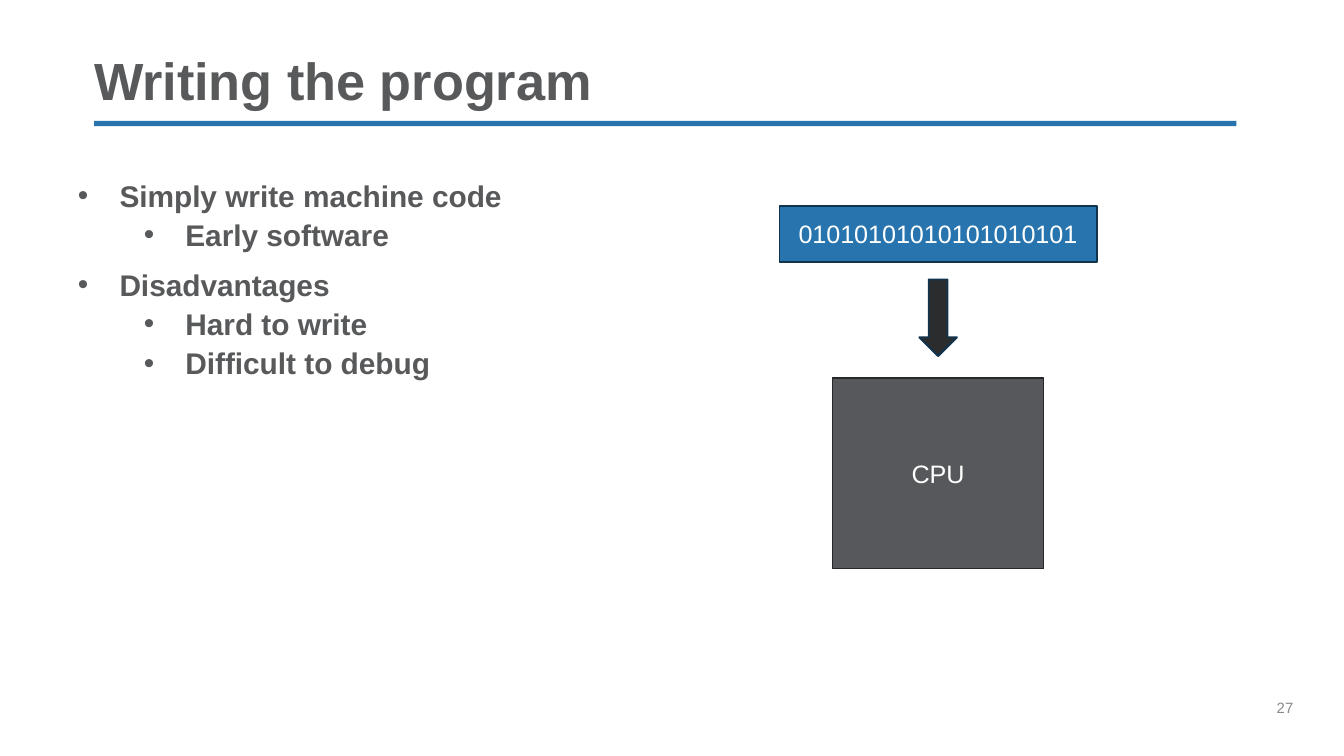
from lxml.etree import SubElement
from pptx import Presentation
from pptx.dml.color import RGBColor
from pptx.enum.shapes import MSO_SHAPE
from pptx.enum.text import MSO_ANCHOR, PP_ALIGN
from pptx.oxml.ns import qn
from pptx.util import Inches, Pt

BLUE = RGBColor(0x27, 0x74, 0xAE)
NAVY = RGBColor(0x11, 0x33, 0x4C)
GREY = RGBColor(0x58, 0x59, 0x5B)
SLATE = RGBColor(0x57, 0x58, 0x5B)
COAL = RGBColor(0x26, 0x27, 0x28)
DARK = RGBColor(0x2B, 0x2C, 0x2E)
PALE = RGBColor(0x89, 0x89, 0x89)
WHITE = RGBColor(0xFF, 0xFF, 0xFF)
FONT = "Arial"


def write(para, text, size=16, color=GREY, bold=False, align=None,
          before=None, lines=None):
    """Add text to a paragraph and set its format."""
    run = para.add_run()
    run.text = text
    run.font.name = FONT
    run.font.size = Pt(size)
    run.font.bold = bold
    run.font.color.rgb = color
    para.alignment = align
    if lines is not None:
        para.line_spacing = lines
    if before is not None:
        para.space_before = Pt(before)


class Deck:
    """Holds the style and the current slide."""

    hang = 0.31
    indents = (0.31, 0.8)
    gaps = (7.5, 3.8)
    leads = (None, 0.9)

    def __init__(self, wide):
        self.show = Presentation()
        self.show.slide_width = Inches(wide)
        self.show.slide_height = Inches(wide * 9 / 16)
        self.slide = self.show.slides.add_slide(self.show.slide_layouts[6])

    def frame(self, *place, anchor=MSO_ANCHOR.TOP):
        box = self.slide.shapes.add_textbox(*map(Inches, place))
        frame = box.text_frame
        frame.word_wrap = True
        frame.vertical_anchor = anchor
        frame.margin_left = frame.margin_right = 0
        frame.margin_top = frame.margin_bottom = 0
        return frame

    def label(self, text, *place, anchor=MSO_ANCHOR.TOP, **style):
        write(self.frame(*place, anchor=anchor).paragraphs[0], text, **style)

    def bullets(self, items, *place):
        frame = self.frame(*place)
        for row, (level, text) in enumerate(items):
            para = frame.add_paragraph() if row else frame.paragraphs[0]
            para.level = level
            write(para, text, bold=True, before=self.gaps[level],
                  lines=self.leads[level])
            props = para._p.get_or_add_pPr()
            props.set("marL", str(Inches(self.indents[level])))
            props.set("indent", str(-Inches(self.hang)))
            SubElement(props, qn("a:buFont")).set("typeface", FONT)
            SubElement(props, qn("a:buChar")).set("char", "•")

    def shape(self, kind, *place, fill, edge=None, text=None):
        shape = self.slide.shapes.add_shape(kind, *map(Inches, place))
        shape.shadow.inherit = False
        shape.fill.solid()
        shape.fill.fore_color.rgb = fill
        if edge is None:
            shape.line.fill.background()
        else:
            shape.line.color.rgb = edge
            shape.line.width = Pt(1)
        if text:
            shape.text_frame.vertical_anchor = MSO_ANCHOR.MIDDLE
            write(shape.text_frame.paragraphs[0], text, size=13.5,
                  color=WHITE, align=PP_ALIGN.CENTER)


def main():
    deck = Deck(10)

    # Title and rule
    deck.shape(MSO_SHAPE.RECTANGLE, 0.7, 0.9, 8.5, 0.04, fill=BLUE)
    deck.label("Writing the program", 0.7, 0.41, 8.5, 0.42,
               anchor=MSO_ANCHOR.BOTTOM, size=28, bold=True, lines=0.9)

    # Points
    deck.bullets([
        (0, "Simply write machine code"),
        (1, "Early software"),
        (0, "Disadvantages"),
        (1, "Hard to write"),
        (1, "Difficult to debug"),
    ], 0.58, 1.32, 7.5, 2.28)

    # Machine code flows down into the CPU
    mid = 6.98
    for kind, top, wide, high, fill, edge, text in (
        (MSO_SHAPE.RECTANGLE, 1.53, 2.36, 0.42, BLUE, NAVY,
         "01010101010101010101"),
        (MSO_SHAPE.RECTANGLE, 2.81, 1.57, 1.42, SLATE, COAL, "CPU"),
        (MSO_SHAPE.DOWN_ARROW, 2.08, 0.28, 0.57, DARK, NAVY, None),
    ):
        deck.shape(kind, mid - wide / 2, top, wide, high,
                   fill=fill, edge=edge, text=text)

    # Page number
    deck.label("27", 9.5, 5.2, 0.5, 0.4, size=8, color=PALE)

    deck.show.save("out.pptx")


if __name__ == "__main__":
    main()
